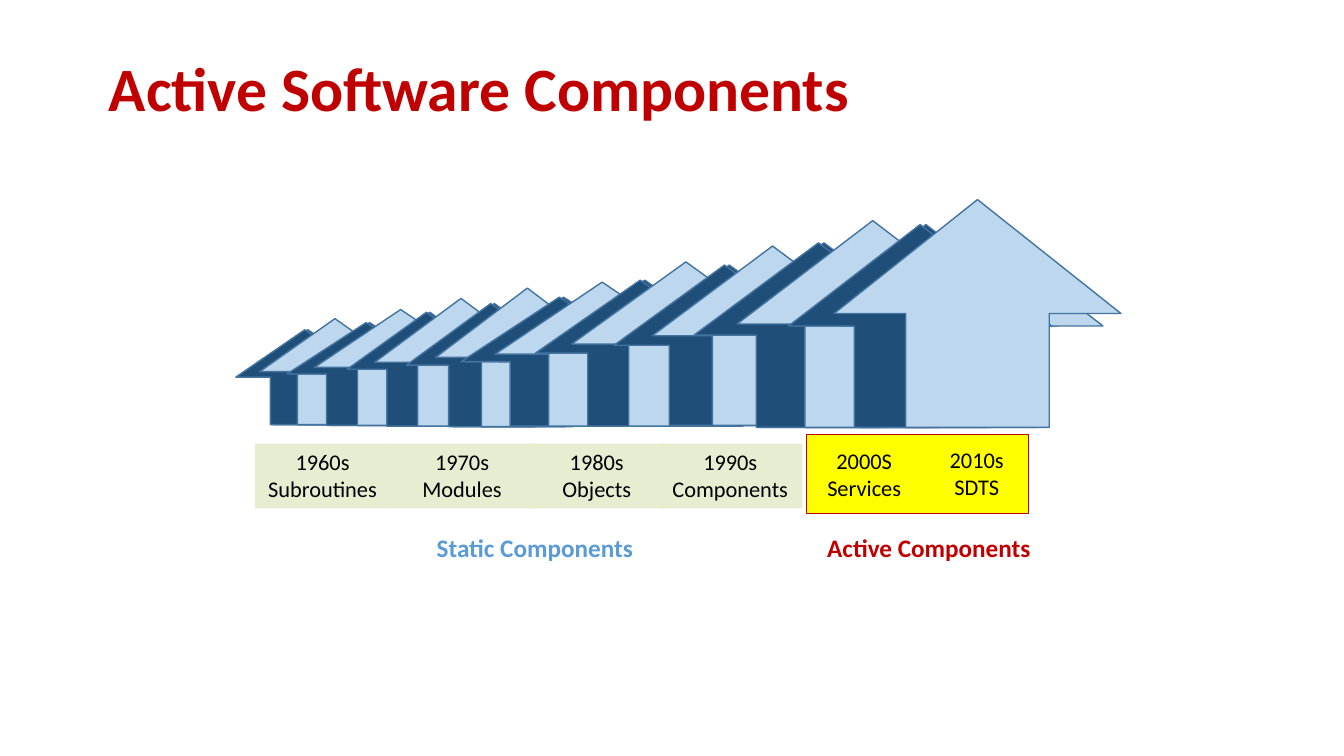
from typing import NamedTuple, Optional

import pptx
import pptx.dml.color
import pptx.enum.shapes
import pptx.enum.text
import pptx.util

Cm = pptx.util.Cm
Pt = pptx.util.Pt
RGBColor = pptx.dml.color.RGBColor
MSO_SHAPE = pptx.enum.shapes.MSO_SHAPE
PP_ALIGN = pptx.enum.text.PP_ALIGN
MSO_ANCHOR = pptx.enum.text.MSO_ANCHOR

RED = RGBColor(0xC0, 0x00, 0x00)
BLACK = RGBColor(0x00, 0x00, 0x00)
YELLOW = RGBColor(0xFF, 0xFF, 0x00)
PALE_GREEN = RGBColor(0xE6, 0xED, 0xD1)
MID_BLUE = RGBColor(0x5B, 0x9B, 0xD5)
DARK_BLUE = RGBColor(0x1F, 0x4E, 0x79)
LIGHT_BLUE = RGBColor(0xBD, 0xD7, 0xEE)
OUTLINE_BLUE = RGBColor(0x43, 0x73, 0x9E)

TITLE_FONT = {"name": "Calibri", "size": Pt(44), "bold": True}
ERA_FONT = {"name": "Calibri", "size": Pt(16), "bold": False}
CAPTION_FONT = {"name": "Calibri", "size": Pt(18), "bold": True}

# Offsets inside an arrow cluster, as shares of its arrow width
STEP, NUDGE, FRONT_SCALE = 0.173, 0.022, 1.09


class Box(NamedTuple):
    """Left, top, width and height in centimetres."""
    left: float
    top: float
    width: float
    height: float


class Cluster(NamedTuple):
    """Three equal arrows and a taller one in front, on one base line."""
    back: Box
    front_top: float


class Label(NamedTuple):
    lines: tuple[str, ...]
    box: Box
    font: dict
    color: RGBColor = BLACK
    fill: Optional[RGBColor] = None


CLUSTERS = [
    Cluster(Box(6.02, 8.31, 3.48, 2.39), 8.03),
    Cluster(Box(7.32, 8.13, 3.99, 2.59), 7.80),
    Cluster(Box(8.84, 7.87, 3.99, 2.87), 7.52),
    Cluster(Box(10.34, 7.65, 4.24, 3.10), 7.26),
    Cluster(Box(11.73, 7.49, 4.95, 3.25), 7.11),
    Cluster(Box(13.61, 7.06, 5.28, 3.68), 6.60),
    Cluster(Box(15.60, 6.68, 5.56, 4.04), 6.20),
    Cluster(Box(17.63, 6.12, 6.27, 4.65), 5.56),
    Cluster(Box(20.02, 5.66, 6.63, 5.11), 5.03),
]

ACTIVE_PANEL = Box(20.32, 10.95, 5.61, 1.98)

ERAS = [
    Label(("1960s", "Subroutines"), Box(6.43, 11.18, 3.40, 1.63), ERA_FONT, fill=PALE_GREEN),
    Label(("1970s", "Modules"), Box(9.78, 11.18, 3.73, 1.63), ERA_FONT, fill=PALE_GREEN),
    Label(("1980s", "Objects"), Box(13.34, 11.18, 3.40, 1.63), ERA_FONT, fill=PALE_GREEN),
    Label(("1990s", "Components"), Box(16.59, 11.18, 3.63, 1.63), ERA_FONT, fill=PALE_GREEN),
    Label(("2000S", "Services"), Box(20.14, 11.15, 3.28, 1.63), ERA_FONT),
    Label(("2010s", "SDTS"), Box(22.71, 11.13, 3.81, 1.63), ERA_FONT),
]

CAPTIONS = [
    Label(("Active Components",), Box(20.22, 13.28, 6.38, 1.02), CAPTION_FONT, RED),
    Label(("Static Components",), Box(8.92, 13.28, 9.12, 1.02), CAPTION_FONT, MID_BLUE),
]


def lengths(box: Box) -> list[int]:
    return [Cm(value) for value in box]


def format_font(font, values: dict, color: RGBColor) -> None:
    for attribute, value in values.items():
        setattr(font, attribute, value)
    font.color.rgb = color


def add_filled(slide, preset, box: Box, fill: RGBColor,
               line: Optional[RGBColor] = None, line_width: float = 1):
    shape = slide.shapes.add_shape(preset, *lengths(box))
    shape.shadow.inherit = False
    shape.fill.solid()
    shape.fill.fore_color.rgb = fill
    if line is None:
        shape.line.fill.background()
    else:
        shape.line.color.rgb = line
        shape.line.width = Pt(line_width)
    return shape


def add_cluster(slide, cluster: Cluster) -> None:
    left, top, width, height = back = cluster.back
    step, nudge = STEP * width, NUDGE * width
    front = Box(left + step - nudge, cluster.front_top, FRONT_SCALE * width,
                top + height - cluster.front_top)
    arrows = [
        (back, DARK_BLUE),
        (back._replace(left=left + step), LIGHT_BLUE),
        (back._replace(left=left - nudge), DARK_BLUE),
        (front, LIGHT_BLUE),
    ]
    for box, fill in arrows:
        add_filled(slide, MSO_SHAPE.UP_ARROW, box, fill, OUTLINE_BLUE)


def add_label(slide, label: Label) -> None:
    if label.fill is None:
        holder = slide.shapes.add_textbox(*lengths(label.box))
    else:
        holder = add_filled(slide, MSO_SHAPE.RECTANGLE, label.box, label.fill)
    frame = holder.text_frame
    frame.word_wrap = True
    frame.vertical_anchor = MSO_ANCHOR.TOP
    frame.text = "\n".join(label.lines)
    for paragraph in frame.paragraphs:
        paragraph.alignment = PP_ALIGN.CENTER
        format_font(paragraph.font, label.font, label.color)


def add_title(slide, text: str, box: Box) -> None:
    title = slide.shapes.title
    title.left, title.top, title.width, title.height = lengths(box)
    title.text_frame.text = text
    title.text_frame.vertical_anchor = MSO_ANCHOR.MIDDLE
    heading = title.text_frame.paragraphs[0]
    heading.alignment = PP_ALIGN.LEFT
    heading.line_spacing = 0.9
    format_font(heading.font, TITLE_FONT, RED)


def main() -> None:
    deck = pptx.Presentation()
    deck.slide_width, deck.slide_height = Cm(33.87), Cm(19.05)
    slide = deck.slides.add_slide(deck.slide_layouts[5])

    add_title(slide, "Active Software Components", Box(2.49, 0.46, 29.21, 3.68))

    # Eras of software components
    add_filled(slide, MSO_SHAPE.RECTANGLE, ACTIVE_PANEL, YELLOW, RED, 0.75)
    for era in ERAS:
        add_label(slide, era)

    # Growing rows of arrows
    for cluster in CLUSTERS:
        add_cluster(slide, cluster)

    # Captions below the eras
    for caption in CAPTIONS:
        add_label(slide, caption)

    deck.save("out.pptx")


if __name__ == "__main__":
    main()
